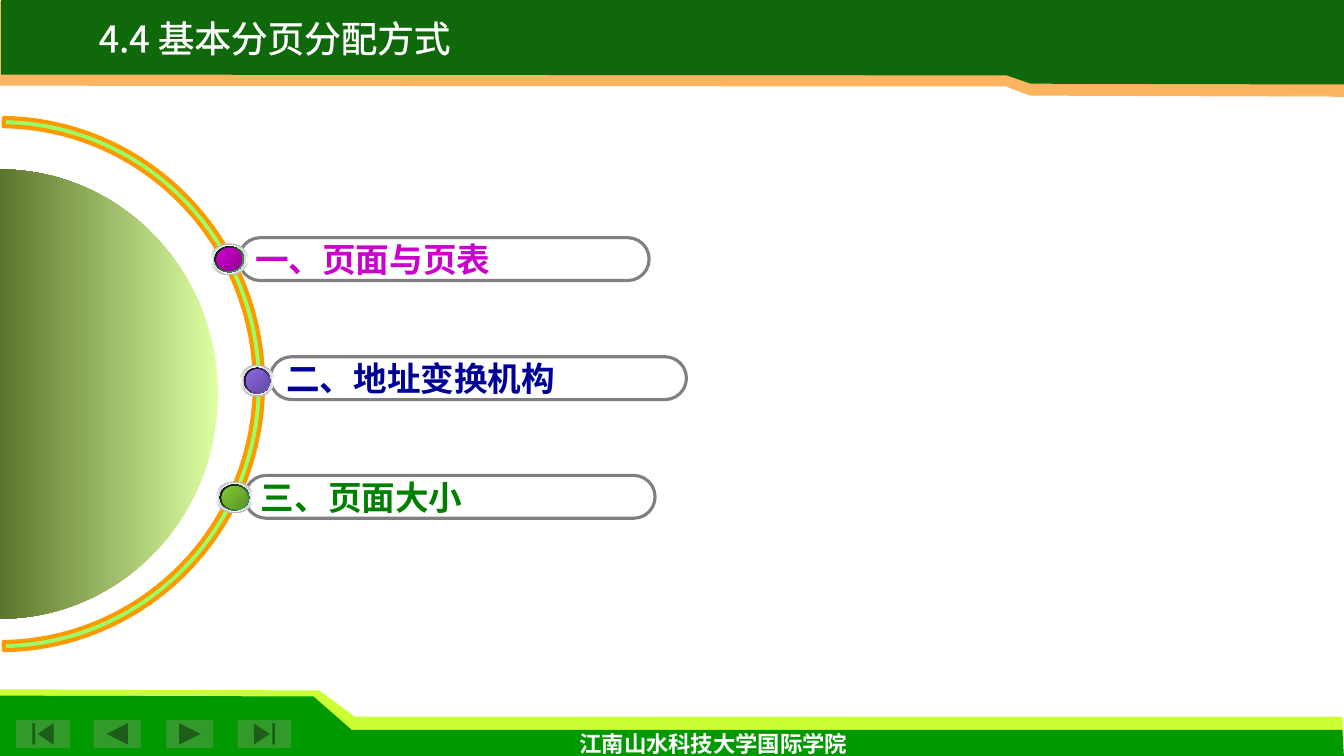
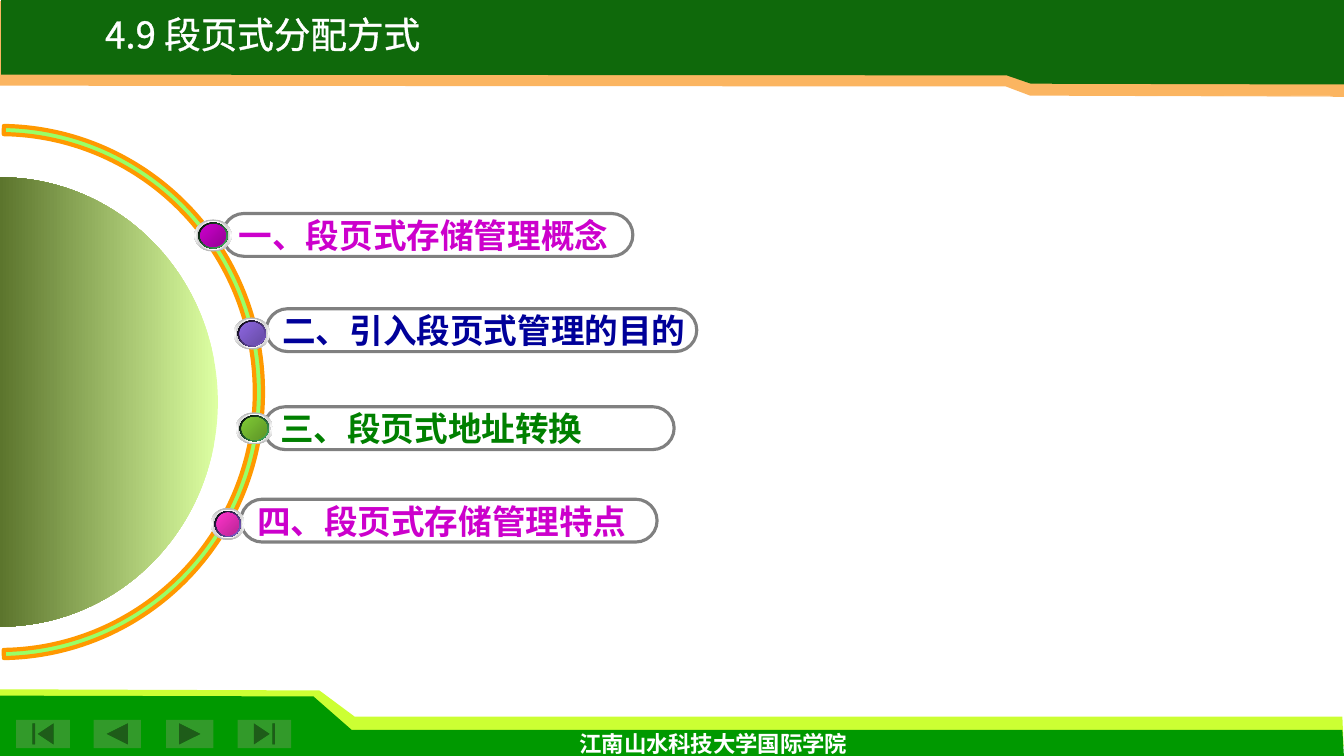
from collections import namedtuple

from lxml import etree
from pptx import Presentation
from pptx.dml.color import RGBColor
from pptx.enum import shapes, text
from pptx.oxml.ns import qn
from pptx.util import Cm, Pt

WIDTH, HEIGHT = 33.87, 19.05
CJK_FONT = "Noto Sans CJK SC"
WHITE, MAGENTA, NAVY, GREEN = "FFFFFF", "CC00CC", "000099", "008000"
FOOTER = "江南山水科技大学国际学院"
PILL_HEIGHT, ORB_HEIGHT = 1.08, 0.81

# Header and footer bands: colour, opacity in percent, outline in centimetres
BANDS = [
    ("CCFF33", 100, [(0.03, 18.8), (33.86, 18.8), (33.83, 18.06), (8.94, 18.06),
                     (8.05, 17.4), (0, 17.37)]),
    ("009900", 100, [(0, 19.13), (WIDTH, 19.08), (33.83, 18.39), (8.86, 18.39),
                     (7.9, 17.55), (0, 17.53)]),
    ("FBB561", 100, [(WIDTH, 0.03), (0, 0.03), (0, 2.16), (25.35, 2.18),
                     (25.96, 2.41), (WIDTH, 2.44)]),
    ("0F690B", 100, [(33.88, -0.08), (0.03, -0.08), (0.03, 1.88), (25.37, 1.9),
                     (25.98, 2.11), (33.88, 2.13)]),
    (WHITE, 30, [(25.53, 2.44), (33.53, 2.41), (33.5, 2.57), (25.88, 2.57)]),
]

# Navigation buttons: shape, left, width
KIND = shapes.MSO_SHAPE
BUTTONS = [
    (KIND.ACTION_BUTTON_BACK_OR_PREVIOUS, 2.36, 1.19),
    (KIND.ACTION_BUTTON_FORWARD_OR_NEXT, 4.19, 1.19),
    (KIND.ACTION_BUTTON_BEGINNING, 0.41, 1.35),
    (KIND.ACTION_BUTTON_END, 5.99, 1.35),
]

# Orb colours: end of the dark rim, then the two ends of the core
PURPLE_ORB = ("48BE67", "CC00CC", "950095")
VIOLET_ORB = ("8D67E1", "8D67E1", "674BA4")
GREEN_ORB = ("48BE67", "80CB35", "5E9427")
PINK_ORB = ("8D67E1", "FF33CC", "BA2595")

# pill is (left, top, width); orb is (left, top, width)
Entry = namedtuple("Entry", "label colour tints pill orb")


def rgb(colour):
    return RGBColor.from_string(colour)


def paint(shape, fill=None, line=None, weight=1, opacity=100):
    shape.shadow.inherit = False
    if fill:
        shape.fill.solid()
        shape.fill.fore_color.rgb = rgb(fill)
        if opacity < 100:
            colour = shape.element.spPr.find(qn("a:solidFill"))[0]
            etree.SubElement(colour, qn("a:alpha"), val=str(opacity * 1000))
    else:
        shape.fill.background()
    if line:
        shape.line.color.rgb = rgb(line)
        shape.line.width = Pt(weight)
    else:
        shape.line.fill.background()


def paint_gradient(shape, colours, clockwise):
    """Spread the colours evenly along a straight gradient."""
    paint(shape)
    shape.fill.gradient()
    shape.fill.gradient_angle = (360 - clockwise) % 360
    stops = shape.element.spPr.find(qn("a:gradFill")).find(qn("a:gsLst"))
    for stop in list(stops):
        stops.remove(stop)
    for index, colour in enumerate(colours):
        position = round(100000 * index / (len(colours) - 1))
        stop = etree.SubElement(stops, qn("a:gs"), pos=str(position))
        etree.SubElement(stop, qn("a:srgbClr"), val=colour)


def style_text(frame, size, colour, font, bold, align):
    for para in frame.paragraphs:
        para.alignment = align
        for span in para.runs:
            span.font.size = Pt(size)
            span.font.bold = bold
            span.font.name = font
            span.font.color.rgb = rgb(colour)
            east_asian = etree.Element(qn("a:ea"), typeface=CJK_FONT)
            span.font._element.find(qn("a:latin")).addnext(east_asian)


def outline_text(span, colour, weight):
    line = etree.Element(qn("a:ln"), w=str(Pt(weight)))
    fill = etree.SubElement(line, qn("a:solidFill"))
    etree.SubElement(fill, qn("a:srgbClr"), val=colour)
    span.font._element.insert(0, line)


def add_preset(parent, kind, left, top, width, height):
    return parent.shapes.add_shape(kind, Cm(left), Cm(top), Cm(width), Cm(height))


def add_outline(page, points):
    corners = [(Cm(x), Cm(y)) for x, y in points]
    builder = page.shapes.build_freeform(*corners[0], scale=1.0)
    builder.add_line_segments(corners[1:], close=True)
    return builder.convert_to_shape()


def add_frame(page):
    """Draw bands, buttons and footer, then hand them to the page's layout."""
    frame = []
    for colour, opacity, points in BANDS:
        band = add_outline(page, points)
        paint(band, colour, opacity=opacity)
        frame.append(band)
    for kind, left, width in BUTTONS:
        button = add_preset(page, kind, left, 18.14, width, 0.71)
        paint(button, "329A2A")
        frame.append(button)

    footer = page.shapes.add_textbox(Cm(12.34), Cm(18.27), Cm(11.28), Cm(0.94))
    footer.text_frame.word_wrap = True
    footer.text_frame.text = FOOTER
    style_text(footer.text_frame, 16, WHITE, "Lato", True, text.PP_ALIGN.CENTER)
    frame.append(footer)

    tree = page.slide_layout.shapes.element
    for index, shape in enumerate(frame):
        shape.element.nvSpPr.cNvPr.set("id", str(20 + index))
        tree.insert(2 + index, shape.element)


def set_title(page, title, left, top):
    box = page.shapes.title
    box.left, box.top, box.width, box.height = Cm(left), Cm(top), Cm(11.2), Cm(1.2)
    frame = box.text_frame
    frame.text = title
    frame.word_wrap = False
    frame.auto_size = text.MSO_AUTO_SIZE.NONE
    frame.vertical_anchor = text.MSO_ANCHOR.MIDDLE
    frame.margin_left = frame.margin_right = Cm(0)
    frame.margin_top = frame.margin_bottom = Cm(0)
    style_text(frame, 26.1, WHITE, CJK_FONT, False, text.PP_ALIGN.LEFT)
    outline_text(frame.paragraphs[0].runs[0], WHITE, 1.5)


def add_dial(page, middle):
    """Ring and shaded disc, both centred on the left edge of the page."""
    ring = add_preset(page, KIND.BLOCK_ARC, -6.71, middle - 6.63, 13.41, 13.26)
    ring.rotation = 90
    # Arc ends in units of 100000/60000 degrees, then the relative thickness
    for index, value in enumerate((108.52, 215.48, 0.0155)):
        ring.adjustments[index] = value
    paint(ring, "99FF66", "FF9900", 3)

    disc = add_preset(page, KIND.OVAL, -5.49, middle + 0.25 - 5.66, 10.98, 11.32)
    paint_gradient(disc, ["DDFFA2", "5C752D", "DDFFA2"], 0)


def add_orb(group, left, top, width, tints):
    rim, core_start, core_end = tints
    layers = [
        (["B6B6B6", WHITE, "B6B6B6"], 90),
        (["D1D1D1", WHITE, "D1D1D1"], 0),
        (["000000", rim], 45),
        ([core_start, core_end], 45),
    ]
    for depth, (colours, angle) in enumerate(layers):
        inset_x, inset_y = 0.05 * depth, 0.04 * depth
        layer = add_preset(group, KIND.OVAL, left + inset_x, top + inset_y,
                           width - 2 * inset_x, ORB_HEIGHT - 2 * inset_y)
        paint_gradient(layer, colours, angle)


def add_entry(page, entry):
    group = page.shapes.add_group_shape()
    pill = add_preset(group, KIND.ROUNDED_RECTANGLE, *entry.pill, PILL_HEIGHT)
    pill.adjustments[0] = 0.5
    paint(pill, line="808080", weight=2.25)
    frame = pill.text_frame
    frame.text = entry.label
    frame.word_wrap = True
    frame.margin_right = Cm(0)
    frame.vertical_anchor = text.MSO_ANCHOR.MIDDLE
    style_text(frame, 24, entry.colour, "Arial", True, text.PP_ALIGN.LEFT)
    add_orb(group, *entry.orb, entry.tints)


def fill_page(page, title, title_left, title_top, dial_middle, entries):
    set_title(page, title, title_left, title_top)
    add_dial(page, dial_middle)
    for entry in entries:
        add_entry(page, entry)


def main():
    deck = Presentation()
    deck.slide_width, deck.slide_height = Cm(WIDTH), Cm(HEIGHT)
    title_only = deck.slide_layouts[5]

    # Paging
    page = deck.slides.add_slide(title_only)
    add_frame(page)
    fill_page(page, "4.4 基本分页分配方式", 2.49, 0.35, 9.68, [
        Entry("一、页面与页表", MAGENTA, PURPLE_ORB,
              (6.02, 5.99, 10.34), (5.31, 6.13, 0.94)),
        Entry("二、地址变换机构", NAVY, VIOLET_ORB,
              (6.81, 8.99, 10.49), (6.05, 9.19, 0.86)),
        Entry("三、页面大小", GREEN, GREEN_ORB,
              (6.17, 11.98, 10.34), (5.44, 12.13, 0.94)),
    ])

    # Segmented paging
    page = deck.slides.add_slide(title_only)
    fill_page(page, "4.9 段页式分配方式", 2.65, 0.25, 9.88, [
        Entry("一、段页式存储管理概念", MAGENTA, PURPLE_ORB,
              (5.61, 5.38, 10.34), (4.9, 5.53, 0.94)),
        Entry("二、引入段页式管理的目的", NAVY, VIOLET_ORB,
              (6.71, 7.78, 10.85), (5.89, 8, 0.91)),
        Entry("三、段页式地址转换", GREEN, GREEN_ORB,
              (6.65, 10.25, 10.34), (5.94, 10.39, 0.94)),
        Entry("四、段页式存储管理特点", MAGENTA, PINK_ORB,
              (6.07, 12.58, 10.49), (5.31, 12.8, 0.86)),
    ])

    deck.save("out.pptx")


main()
